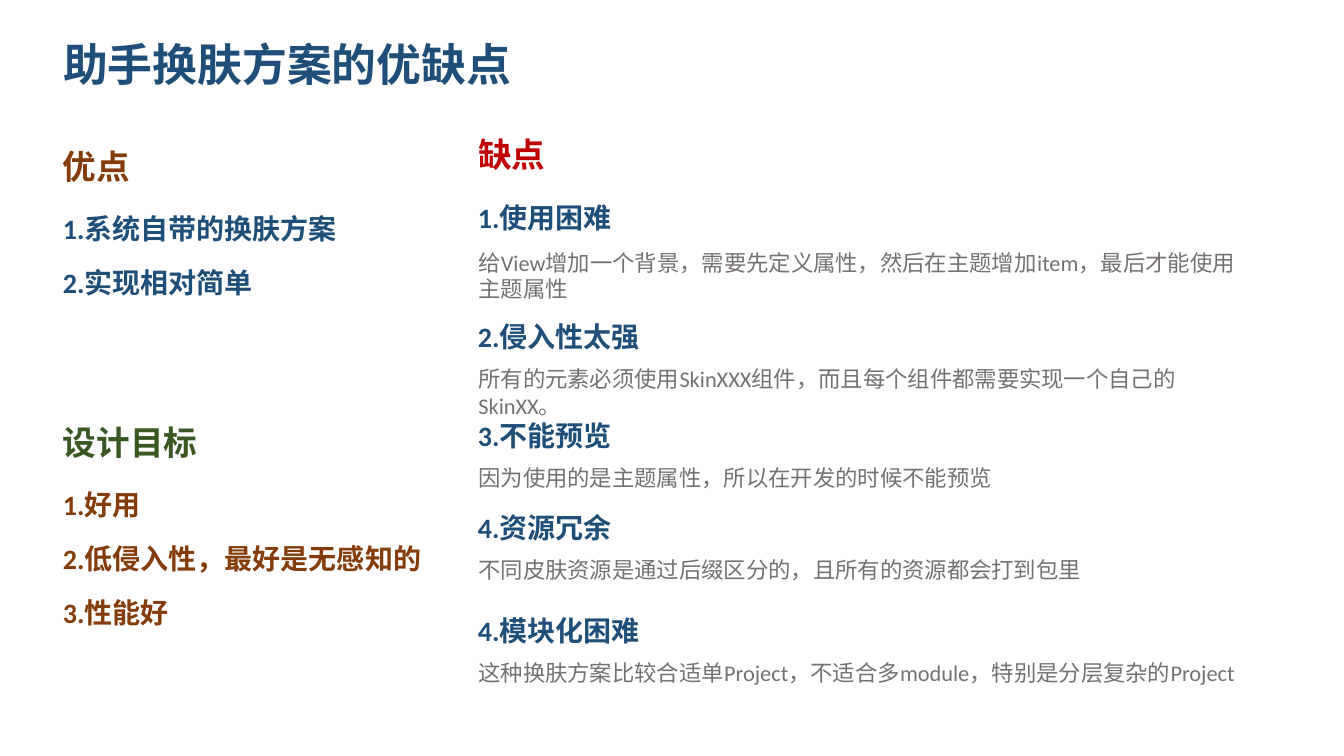
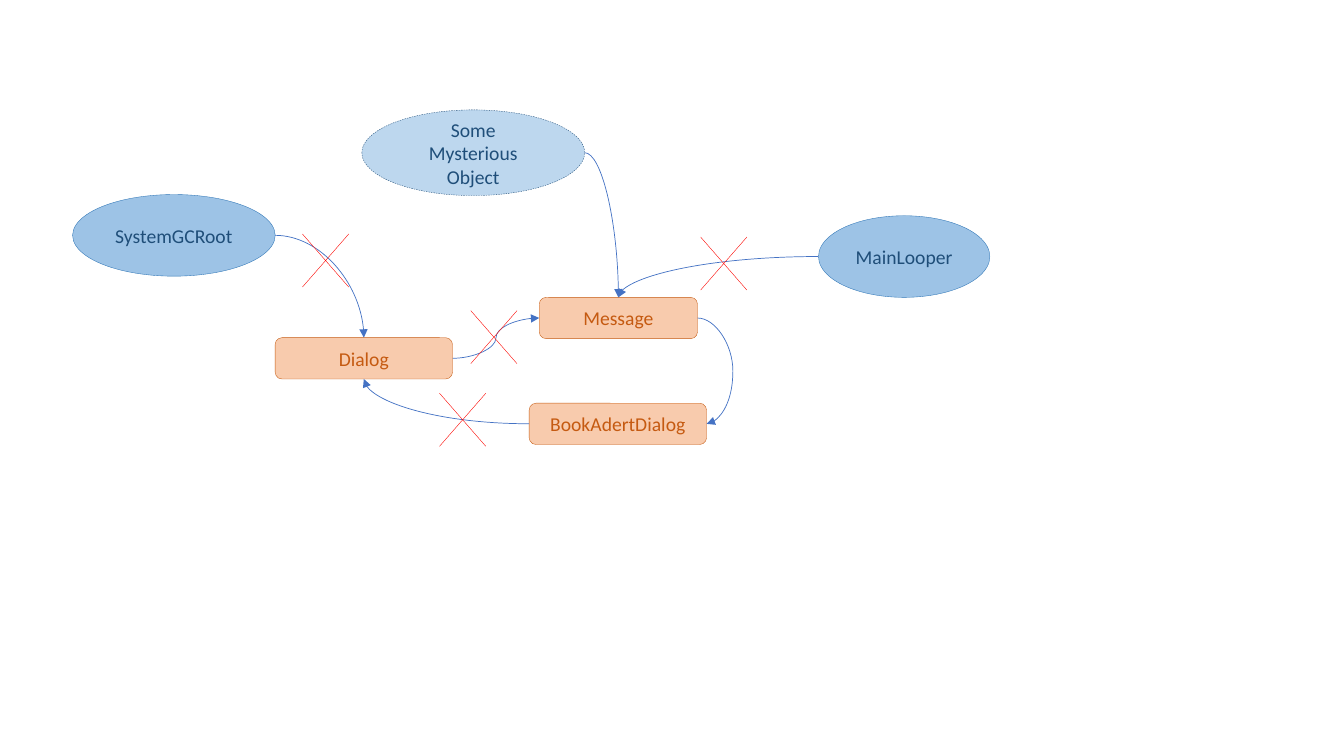
from lxml.etree import SubElement as sub
from pptx import Presentation as Deck
from pptx.dml.color import RGBColor as RGB
from pptx.enum.dml import MSO_LINE as DASH
from pptx.enum.shapes import MSO_CONNECTOR as LINK, MSO_SHAPE as FORM
from pptx.enum.text import MSO_ANCHOR as ANCHOR, PP_ALIGN as ALIGN
from pptx.oxml.ns import qn
from pptx.util import Emu, Inches, Pt

# Grid: square cells, 133.33 columns by 75 rows
CELL = Inches(0.1)
COLS, ROWS = 133.33, 75
LEFT, RIGHT = 5, 46.2
LINE = 5.3

FONT = "Calibri"
NAVY = RGB(0x1F, 0x4E, 0x79)
BROWN = RGB(0x84, 0x3C, 0x0B)
GREEN = RGB(0x38, 0x57, 0x23)
CRIMSON = RGB(0xC0, 0x00, 0x00)
GREY = RGB(0x76, 0x71, 0x71)
PEACH = RGB(0xF8, 0xCB, 0xAD)
RUST = RGB(0xC5, 0x5A, 0x11)
SKY = RGB(0x9D, 0xC3, 0xE6)
PALE = RGB(0xBD, 0xD7, 0xEE)
STEEL = RGB(0x2E, 0x75, 0xB6)
BLUE = RGB(0x44, 0x72, 0xC4)
RED = RGB(0xFF, 0x00, 0x00)

# Weak points: head, its row, note, row of the note
FLAWS = [
    ("1.使用困难", 19.25,
     "给View增加一个背景，需要先定义属性，然后在主题增加item，最后才能使用主题属性", 23.9),
    ("2.侵入性太强", 31.1,
     "所有的元素必须使用SkinXXX组件，而且每个组件都需要实现一个自己的SkinXX。", 35.5),
    ("3.不能预览", 40.9, "因为使用的是主题属性，所以在开发的时候不能预览", 45.3),
    ("4.资源冗余", 50, "不同皮肤资源是通过后缀区分的，且所有的资源都会打到包里", 54.4),
    ("4.模块化困难", 60.2,
     "这种换肤方案比较合适单Project，不适合多module，特别是分层复杂的Project", 64.6),
]


def span(cells):
    return Emu(round(cells * CELL))


def area(*cells):
    return [span(n) for n in cells]


def write(shape, text, size, ink, bold=False, align=ALIGN.LEFT, anchor=ANCHOR.MIDDLE):
    frame = shape.text_frame
    frame.text = text
    frame.word_wrap = True
    frame.vertical_anchor = anchor
    for par in frame.paragraphs:
        par.alignment = align
        for run in par.runs:
            font = run.font
            font.name, font.size, font.bold = FONT, Pt(size), bold
            font.color.rgb = ink


def place(shapes, form, box, fill=None, edge=None):
    shape = shapes.add_shape(form, *area(*box))
    shape.shadow.inherit = False
    if fill is None:
        shape.fill.background()
        shape.line.fill.background()
    else:
        shape.fill.solid()
        shape.fill.fore_color.rgb = fill
        shape.line.color.rgb = edge
        shape.line.width = Pt(0.25)
    return shape


def label(shapes, box, text, size, ink, bold=True, anchor=ANCHOR.MIDDLE):
    shape = place(shapes, FORM.ROUNDED_RECTANGLE, box)
    write(shape, text, size, ink, bold, anchor=anchor)


def points(slide, row, head, tint, items, ink):
    """A heading with short lines below it."""
    group = slide.shapes.add_group_shape().shapes
    label(group, (LEFT, row, 30.6, LINE), head, 24, tint)
    for n, item in enumerate(items):
        label(group, (LEFT, row + 6.2 + 5.35 * n, 42, LINE), item, 20, ink)


def flaws(slide):
    group = slide.shapes.add_group_shape().shapes
    label(group, (RIGHT, 12.6, 30.6, LINE), "缺点", 24, CRIMSON)
    for head, row, note, low in FLAWS:
        label(group, (RIGHT, row, 42.8, 4.6), head, 20, NAVY)
        label(group, (RIGHT, low, 78.2, 5.7), note, 16, GREY, False, ANCHOR.TOP)


def node(slide, form, box, text, fill, edge, ink):
    shape = place(slide.shapes, form, box, fill, edge)
    write(shape, text, 14, ink, align=ALIGN.CENTER)
    return shape


def brick(slide, box, text):
    return node(slide, FORM.ROUNDED_RECTANGLE, box, text, PEACH, RUST, RUST)


def oval(slide, box, text, fill=SKY, edge=STEEL):
    return node(slide, FORM.OVAL, box, text, fill, edge, NAVY)


def port(shape, side):
    """Point and site number of a side: top, left, bottom, right."""
    n = ("top", "left", "bottom", "right").index(side)
    x = shape.left + shape.width * (0.5, 0, 0.5, 1)[n]
    y = shape.top + shape.height * (0, 0.5, 1, 0.5)[n]
    step = 2 if shape.auto_shape_type == FORM.OVAL else 1
    return round(x), round(y), n * step


def curve(slide, start, out, end, into, bulge=None):
    x, y, first = port(start, out)
    to_x, to_y, last = port(end, into)
    link = slide.shapes.add_connector(LINK.CURVE, x, y, to_x, to_y)
    link.line.color.rgb = BLUE
    link.line.width = Pt(0.5)
    root = link._element
    # Glue both ends to their shapes
    glue = root.find(".//" + qn("p:cNvCxnSpPr"))
    for tag, shape, site in (("a:stCxn", start, first), ("a:endCxn", end, last)):
        sub(glue, qn(tag), id=str(shape.shape_id), idx=str(site))
    # A quarter turn when the end is a top or bottom
    geom = root.spPr.find(qn("a:prstGeom"))
    if into in ("top", "bottom"):
        geom.set("prst", "curvedConnector2")
    if bulge:
        ratio = round(100000 * span(bulge) / (to_x - x))
        sub(geom.find(qn("a:avLst")), qn("a:gd"), name="adj1", fmla=f"val {ratio}")
    sub(root.spPr.find(qn("a:ln")), qn("a:tailEnd"), type="triangle")
    sub(root.spPr, qn("a:effectLst"))


def cross(slide, col, row):
    shape = place(slide.shapes, FORM.MATH_MULTIPLY, (col, row, 8.8, 10.1), PEACH, RED)
    shape.adjustments[0] = 0


def review(deck):
    slide = deck.slides.add_slide(deck.slide_layouts[5])
    title = slide.shapes.title
    title.left, title.top, title.width, title.height = area(LEFT, 3.7, 67.3, LINE)
    write(title, "助手换肤方案的优缺点", 32, NAVY, True)
    title.text_frame.margin_left = span(1.26)
    points(slide, 13.8, "优点", BROWN, ["1.系统自带的换肤方案", "2.实现相对简单"], NAVY)
    flaws(slide)
    points(slide, 41.2, "设计目标", GREEN,
           ["1.好用", "2.低侵入性，最好是无感知的", "3.性能好"], BROWN)


def leak(deck):
    slide = deck.slides.add_slide(deck.slide_layouts[6])
    # Objects
    message = brick(slide, (53.5, 29.5, 15.7, 4.1), "Message")
    advert = brick(slide, (52.5, 40, 17.6, 4.1), "BookAdertDialog")
    dialog = brick(slide, (27.3, 33.5, 17.6, 4.1), "Dialog")
    looper = oval(slide, (81.2, 21.4, 17, 8.1), "MainLooper")
    system = oval(slide, (7.2, 19.3, 20.1, 8.1), "SystemGCRoot")
    ghost = oval(slide, (35.9, 10.9, 22.1, 8.5), "Some\nMysterious\nObject", PALE, NAVY)
    ghost.line.dash_style = DASH.DASH
    # References
    curve(slide, dialog, "right", message, "left")
    curve(slide, message, "right", advert, "right", 3.5)
    curve(slide, advert, "left", dialog, "bottom")
    curve(slide, looper, "left", message, "top")
    curve(slide, system, "right", dialog, "top")
    curve(slide, ghost, "right", message, "top")
    # Cut references
    for col, row in ((27.9, 20.8), (67.4, 21.1), (41.5, 36.6), (44.6, 28.4)):
        cross(slide, col, row)


def main():
    deck = Deck()
    deck.slide_width, deck.slide_height = area(COLS, ROWS)
    review(deck)
    leak(deck)
    deck.save("out.pptx")


if __name__ == "__main__":
    main()
